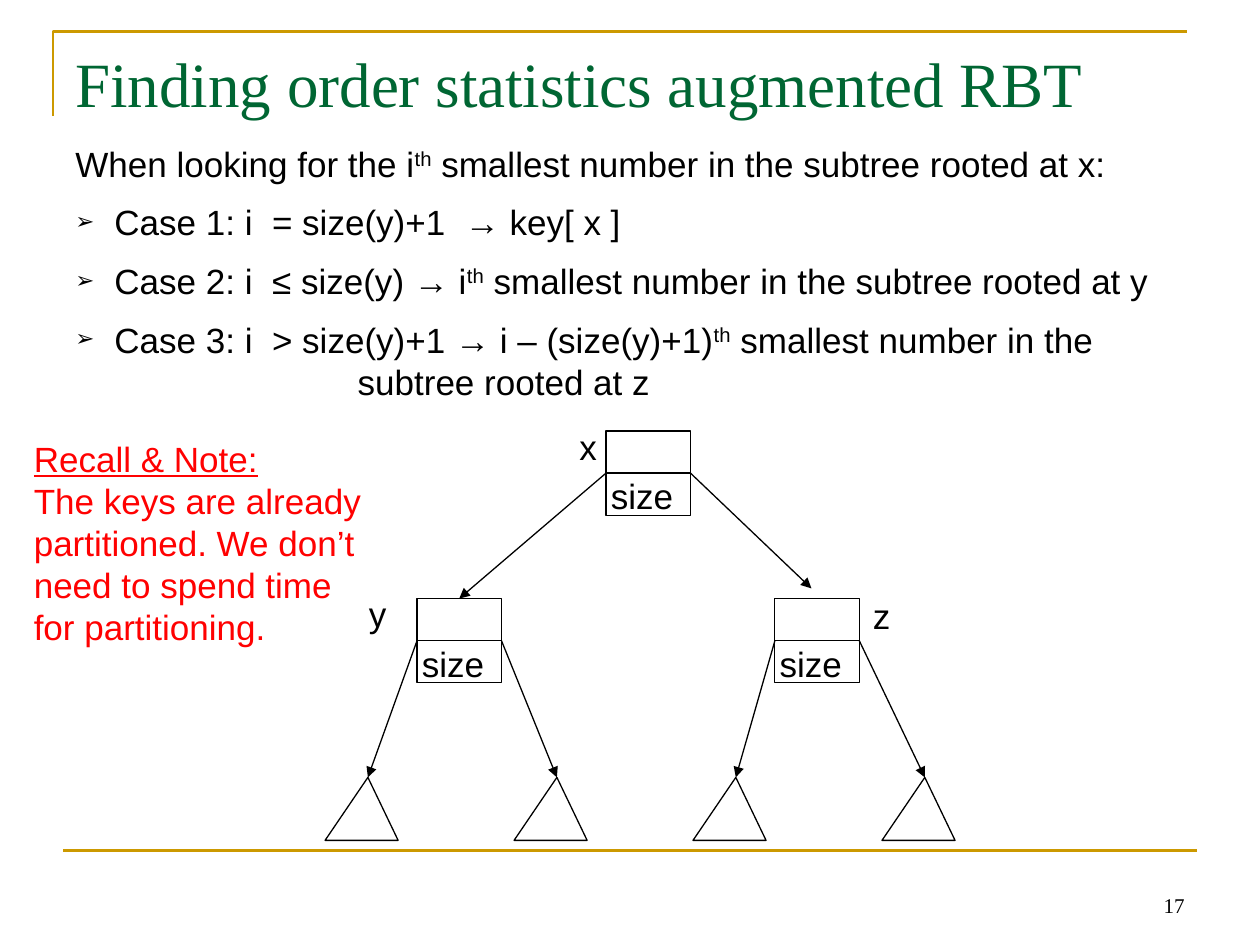
from lxml.etree import SubElement
from pptx import Presentation
from pptx.dml.color import RGBColor
from pptx.enum.shapes import MSO_CONNECTOR, MSO_SHAPE
from pptx.enum.text import MSO_ANCHOR, PP_ALIGN
from pptx.oxml.ns import qn
from pptx.util import Inches, Pt

# Content: a paragraph is a list of (text, is superscript) runs
TITLE = "Finding order statistics augmented RBT"
PAGE_NUMBER = "17"
INTRO = [("When looking for the i", False), ("th", True),
         (" smallest number in the subtree rooted at x:", False)]
CASES = [
    [("Case 1: i  = size(y)+1  → key[ x ]", False)],
    [("Case 2: i  ≤ size(y) → i", False), ("th", True),
     (" smallest number in the subtree rooted at y", False)],
    [("Case 3: i  > size(y)+1 → i – (size(y)+1)", False), ("th", True),
     (" smallest number in the", False)],
]
CASE_END = [("subtree rooted at z", False)]
NOTE = ["Recall & Note:", "The keys are already partitioned. We don’t",
        "need to spend time", "for partitioning."]

# Tree: name -> node corner, label corner
NODES = {
    "x": ((4.81, 3.42), (4.5, 3.33)),
    "y": ((3.31, 4.75), (2.83, 4.65)),
    "z": ((6.15, 4.75), (6.83, 4.67)),
}
# Subtrees: parent, parent side (1 left, 3 right), left edge
SUBTREES = [("y", 1, 2.58), ("y", 3, 4.08), ("z", 1, 5.5), ("z", 3, 7)]
Z_ARROW_END = (6.44, 4.67)
NODE_SIZE = 0.67
SUBTREE_TOP, SUBTREE_WIDTH, SUBTREE_HEIGHT, APEX = 6.17, 0.58, 0.5, 0.34

BLACK, GOLD, GREEN, RED = "000000", "CC9900", "006633", "FF0101"
SANS, SERIF = "Arial", "Times New Roman"

presentation = Presentation()
presentation.slide_width, presentation.slide_height = Inches(10), Inches(7.5)
slide = presentation.slides.add_slide(presentation.slide_layouts[6])


def color(value):
    return RGBColor.from_string(value)


def set_line(shape, value=BLACK, width=0.75):
    shape.line.color.rgb = color(value)
    shape.line.width = Pt(width)


def style(paragraph, size=20, font=SANS, value=BLACK):
    for run in paragraph.runs:
        run.font.size, run.font.name = Pt(size), font
        run.font.color.rgb = color(value)


def add_text(left, top, width, height, lines, side_margin=0.1,
             align=PP_ALIGN.LEFT, anchor=MSO_ANCHOR.TOP, **look):
    box = slide.shapes.add_textbox(*map(Inches, (left, top, width, height)))
    frame = box.text_frame
    frame.text = "\n".join(lines)
    frame.word_wrap, frame.vertical_anchor = True, anchor
    frame.margin_left = frame.margin_right = Inches(side_margin)
    for paragraph in frame.paragraphs:
        paragraph.alignment = align
        style(paragraph, **look)
    return frame


def add_runs(paragraph, runs):
    for text, superscript in runs:
        run = paragraph.add_run()
        run.text = text
        if superscript:
            run.font._element.set("baseline", "30000")
    style(paragraph)


def add_indent(paragraph, left, first=0, bullet=None):
    properties = paragraph._p.get_or_add_pPr()
    properties.set("marL", str(Inches(left)))
    properties.set("indent", str(Inches(first)))
    if bullet:
        bullet_color = SubElement(properties, qn("a:buClr"))
        SubElement(bullet_color, qn("a:srgbClr")).set("val", BLACK)
        SubElement(properties, qn("a:buSzPct")).set("val", "65000")
        SubElement(properties, qn("a:buFont")).set("typeface", SANS)
        SubElement(properties, qn("a:buChar")).set("char", bullet)


def add_line(start, end, value=BLACK, width=0.75, arrow=False):
    """Each end is a point or a (shape, connection site) pair."""
    points = [(0, 0) if hasattr(e[0], "shape_id") else e for e in (start, end)]
    line = slide.shapes.add_connector(
        MSO_CONNECTOR.STRAIGHT, *(Inches(n) for point in points for n in point))
    if hasattr(start[0], "shape_id"):
        line.begin_connect(*start)
    if hasattr(end[0], "shape_id"):
        line.end_connect(*end)
    set_line(line, value, width)
    if arrow:
        SubElement(line.line._get_or_add_ln(), qn("a:tailEnd")).set("type", "triangle")
    SubElement(line._element.spPr, qn("a:effectLst"))


def add_outline(points, close, value=BLACK, width=0.75):
    first, *rest = [(Inches(x), Inches(y)) for x, y in points]
    builder = slide.shapes.build_freeform(*first)
    builder.add_line_segments(rest, close=close)
    shape = builder.convert_to_shape()
    shape.fill.background()
    shape.shadow.inherit = False
    set_line(shape, value, width)


# Frame lines, page number and title
add_outline([(0.42, 0.92), (0.42, 0.25), (9.42, 0.25)], False, GOLD, 1.5)
add_line((0.5, 6.75), (9.5, 6.75), GOLD, 1.5)
add_text(7.17, 6.83, 2.33, 0.5, [PAGE_NUMBER], align=PP_ALIGN.RIGHT,
         anchor=MSO_ANCHOR.BOTTOM, size=12, font=SERIF)
add_text(0.5, 0.3, 9, 1.25, [TITLE], size=36, font=SERIF, value=GREEN)

# Cases
body = add_text(0.5, 1.08, 8.92, 2.17, [])
add_runs(body.paragraphs[0], INTRO)
for case in CASES:
    paragraph = body.add_paragraph()
    add_indent(paragraph, 0.31, -0.31, "➢")
    paragraph.space_before = Pt(9.5)
    add_runs(paragraph, case)
paragraph = body.add_paragraph()
add_indent(paragraph, 2.24)
add_runs(paragraph, CASE_END)

# Tree nodes, each split by a middle line
boxes = {}
for name, ((left, top), label) in NODES.items():
    box = slide.shapes.add_shape(
        MSO_SHAPE.RECTANGLE, *map(Inches, (left, top, NODE_SIZE, NODE_SIZE)))
    box.fill.background()
    box.shadow.inherit = False
    set_line(box)
    boxes[name] = box
    add_text(left - 0.06, top + 0.3, 0.69, 0.44, ["size"], side_margin=0,
             align=PP_ALIGN.CENTER)
    add_line((box, 1), (box, 3))
    add_text(*label, 0.33, 0.44, [name])

# Arrows between nodes, then subtrees with their arrows
add_line((boxes["x"], 3), Z_ARROW_END, arrow=True)
add_line((boxes["x"], 1), (boxes["y"], 0), arrow=True)
for parent, side, left in SUBTREES:
    apex = (left + APEX, SUBTREE_TOP)
    bottom = SUBTREE_TOP + SUBTREE_HEIGHT
    add_outline([apex, (left, bottom), (left + SUBTREE_WIDTH, bottom)], True)
    add_line((boxes[parent], side), apex, arrow=True)

# Note
note = add_text(0.17, 3.42, 3.17, 1.77, NOTE, value=RED)
note.paragraphs[0].runs[0].font.underline = True

presentation.save("out.pptx")
